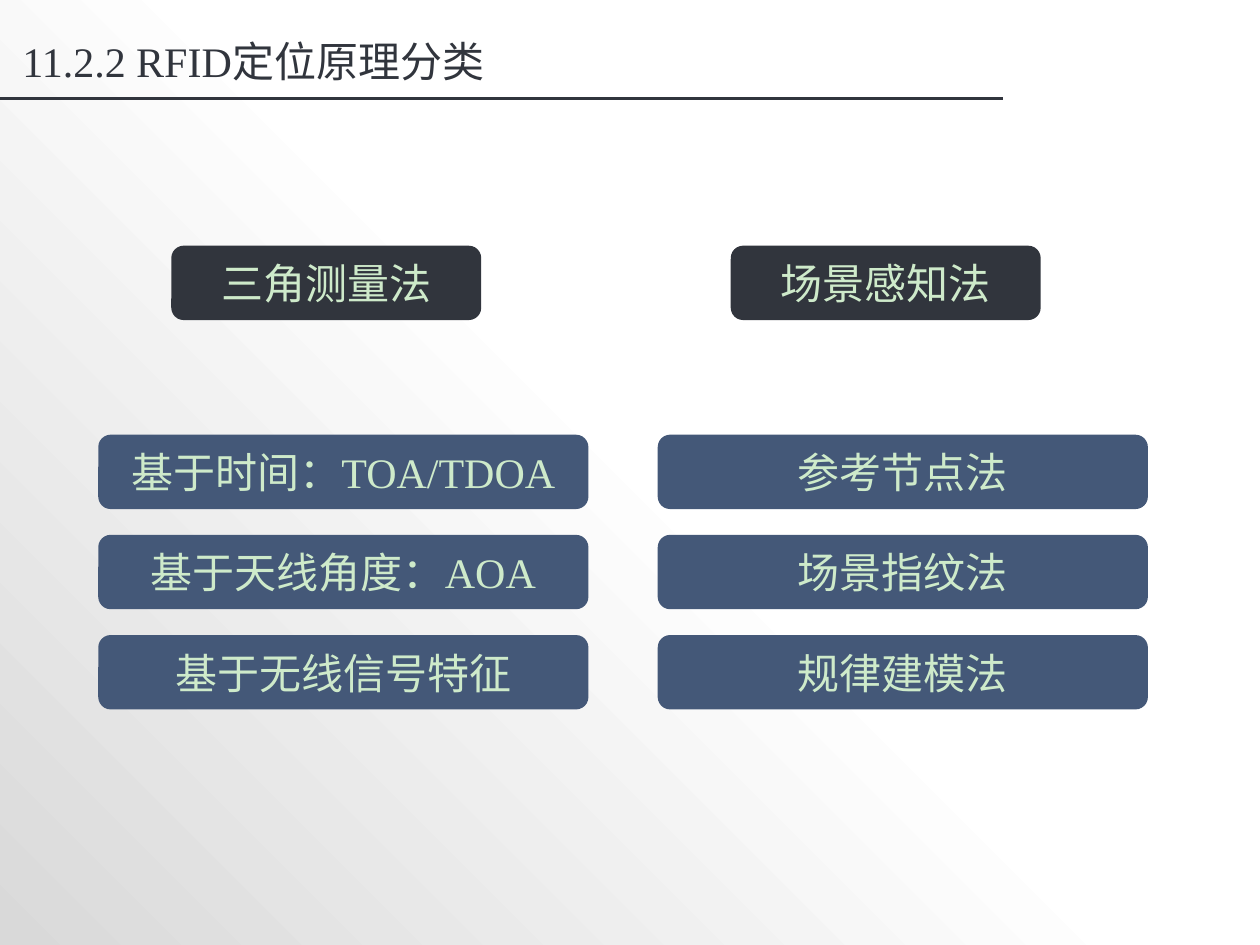
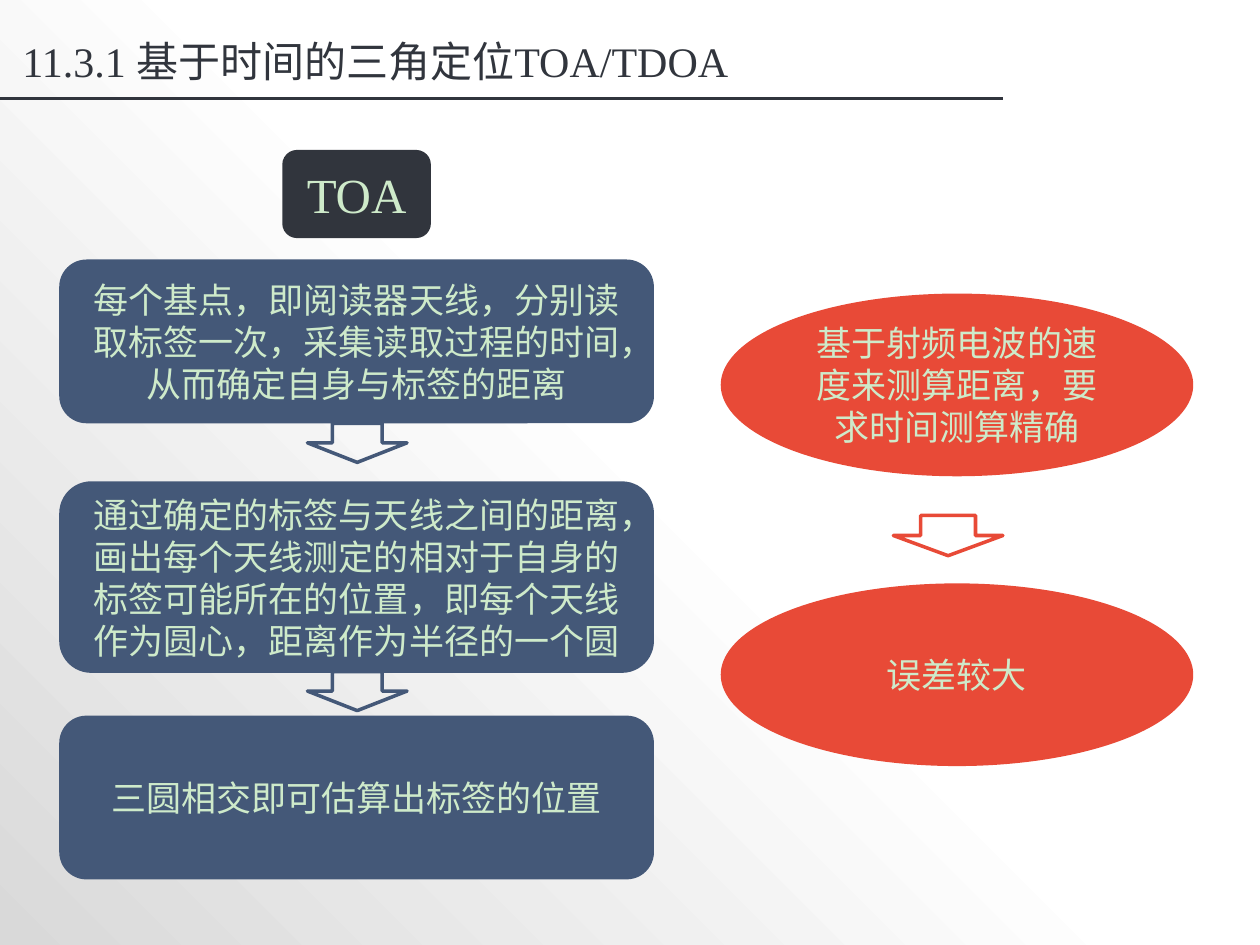
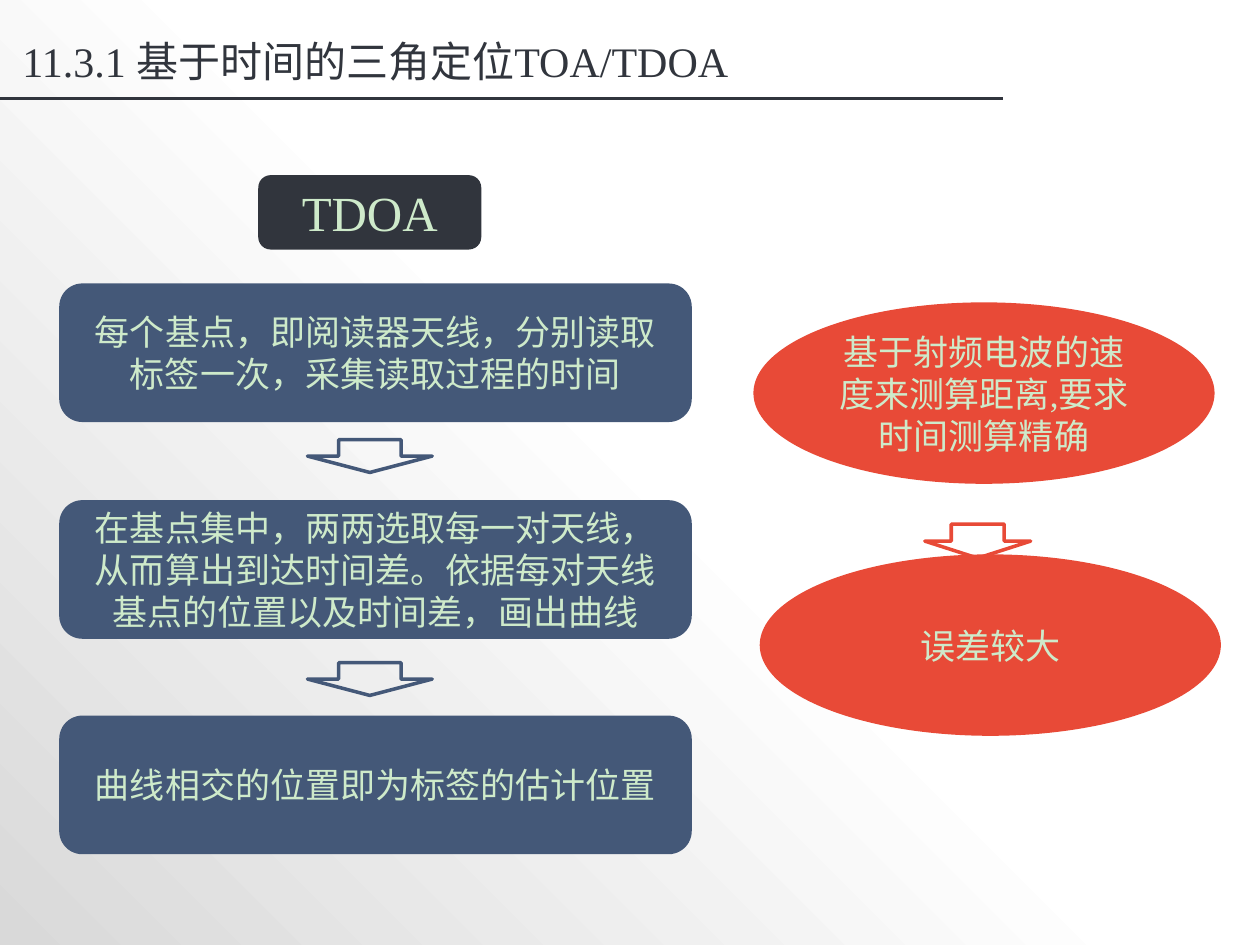
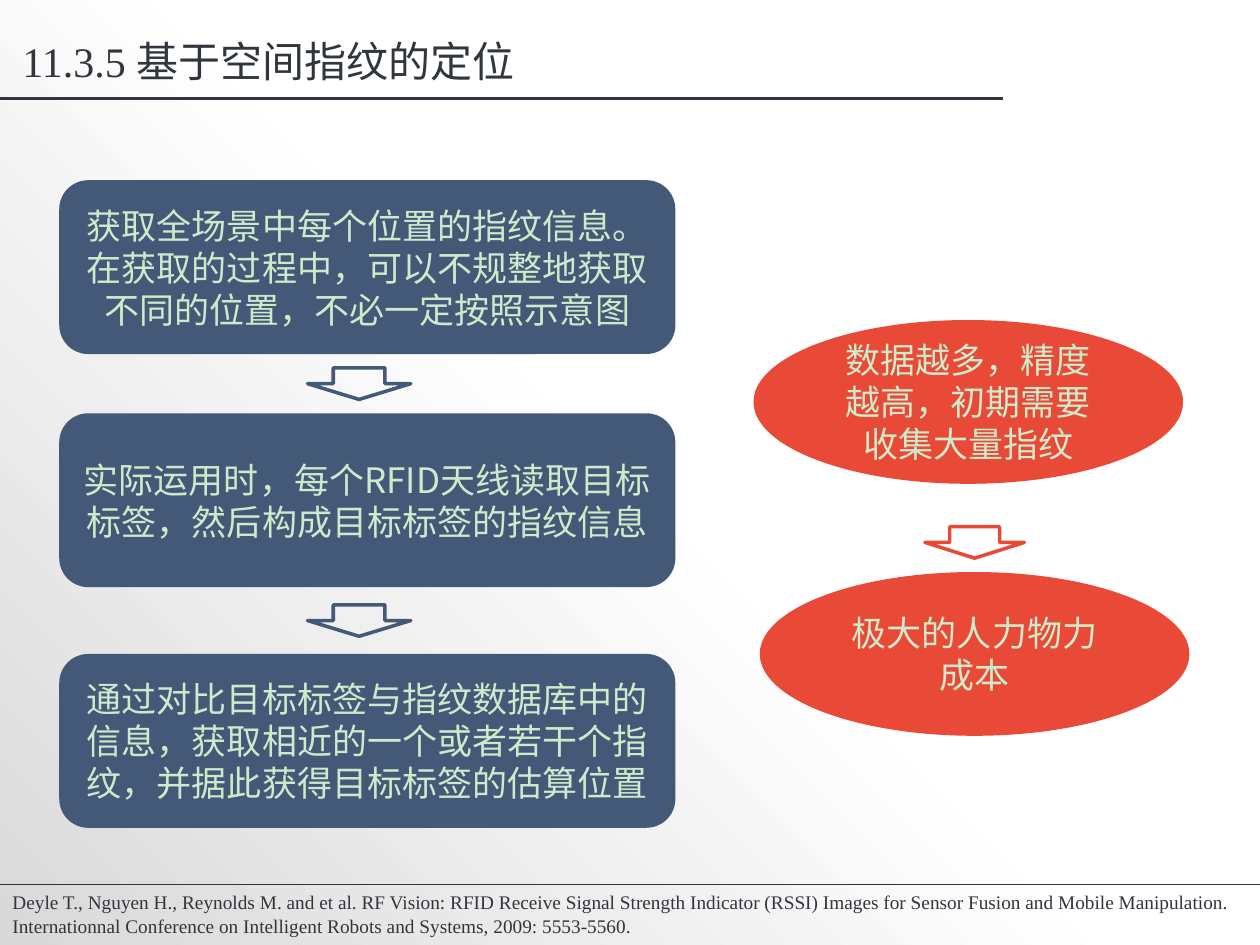
import pptx
import pptx.util
import pptx.dml.color
import pptx.enum.shapes
import pptx.enum.text
import pptx.oxml.ns
from lxml import etree

COLOURS = {
    "dark": "31353D",
    "blue": "445878",
    "red": "E84A37",
    "pale": "CEEACA",
    "corner": "D9D9D9",
    "white": "FFFFFF",
}
LATIN_FONT = "Times New Roman"
CHINESE_FONT = "Noto Sans CJK SC"
SLIDE_WIDTH, SLIDE_HEIGHT = 10, 7.5
FLOW_LEFT = 0.47
FLOW_ARROW_LEFT = 2.44

SHAPES = pptx.enum.shapes.MSO_SHAPE
ALIGN = pptx.enum.text.PP_ALIGN
ANCHOR = pptx.enum.text.MSO_ANCHOR


def colour(name):
    return pptx.dml.color.RGBColor.from_string(COLOURS[name])


def inches(*lengths):
    return [pptx.util.Inches(length) for length in lengths]


# Text and basic elements
def write(shape, text, size, colour_name, font=LATIN_FONT, align=None,
          anchor=ANCHOR.MIDDLE, line_height=None):
    text_frame = shape.text_frame
    text_frame.word_wrap = True
    text_frame.vertical_anchor = anchor
    text_frame.text = text
    paragraph = text_frame.paragraphs[0]
    paragraph.alignment = align
    if line_height:
        paragraph.line_spacing = pptx.util.Pt(line_height)
    run = paragraph.runs[0]
    run.font.size = pptx.util.Pt(size)
    run.font.name = font
    run.font.color.rgb = colour(colour_name)
    east_asian = etree.SubElement(run.font._element, pptx.oxml.ns.qn("a:ea"))
    east_asian.set("typeface", CHINESE_FONT)


def add_box(slide, kind, bounds, fill, text, size=20, font=LATIN_FONT,
            line_height=None):
    shape = slide.shapes.add_shape(kind, *inches(*bounds))
    shape.shadow.inherit = False
    shape.fill.solid()
    shape.fill.fore_color.rgb = colour(fill)
    shape.line.fill.background()
    write(shape, text, size, "pale", font, ALIGN.CENTER,
          line_height=line_height)


def add_arrow(slide, bounds, line):
    arrow = slide.shapes.add_shape(SHAPES.DOWN_ARROW, *inches(*bounds))
    arrow.shadow.inherit = False
    arrow.fill.background()
    arrow.line.color.rgb = colour(line)
    arrow.line.width = pptx.util.Pt(2)


def add_rule(slide, top, width, weight):
    rule = slide.shapes.add_connector(
        pptx.enum.shapes.MSO_CONNECTOR.STRAIGHT, *inches(0, top, width, top))
    rule.line.color.rgb = colour("dark")
    rule.line.width = pptx.util.Pt(weight)
    etree.SubElement(rule._element.spPr, pptx.oxml.ns.qn("a:effectLst"))


# Shared slide parts
def paint_background(master):
    fill = master.background.fill
    fill.gradient()
    fill.gradient_angle = 45
    for stop, (name, position) in zip(fill.gradient_stops,
                                      [("corner", 0), ("white", 0.52)]):
        stop.color.rgb = colour(name)
        stop.position = position


def add_titled_slide(presentation, title):
    slide = presentation.slides.add_slide(presentation.slide_layouts[6])
    title_box = slide.shapes.add_textbox(*inches(0.08, 0.19, 6.3, 0.59))
    write(title_box, title, 24, "dark")
    add_rule(slide, 0.78, 7.96, 1.5)
    return slide


def add_citation(slide, text):
    top = 7.02
    citation = slide.shapes.add_textbox(*inches(0, top, 10.02, 0.47))
    write(citation, text, 11, "dark", anchor=ANCHOR.TOP)
    citation.text_frame.auto_size = (
        pptx.enum.text.MSO_AUTO_SIZE.SHAPE_TO_FIT_TEXT)
    add_rule(slide, top, SLIDE_WIDTH, 0.75)


# Content groups
def add_method_column(slide, left, heading, methods):
    height, pitch = 0.59, 0.795
    add_box(slide, SHAPES.ROUNDED_RECTANGLE, (left + 0.58, 1.95, 2.46, height),
            "dark", heading, 24)
    for row, method in enumerate(methods):
        add_box(slide, SHAPES.ROUNDED_RECTANGLE,
                (left, 3.45 + row * pitch, 3.89, height), "blue", method, 24)


def add_label(slide, bounds, text):
    add_box(slide, SHAPES.ROUNDED_RECTANGLE, bounds, "dark", text, 28)


def add_flow(slide, width, steps, arrow_tops, arrow_size):
    """Each step is (top, height, text) with an optional font."""
    for top, height, text, *font in steps:
        add_box(slide, SHAPES.ROUNDED_RECTANGLE,
                (FLOW_LEFT, top, width, height), "blue", text, 20, *font,
                line_height=24)
    for top in arrow_tops:
        add_arrow(slide, (FLOW_ARROW_LEFT, top, *arrow_size), "blue")


def add_drawback(slide, size, cause, arrow_bounds, effect):
    """Cause and effect are (left, top, text), joined by an arrow."""
    for left, top, text in (cause, effect):
        add_box(slide, SHAPES.OVAL, (left, top, *size), "red", text,
                line_height=24)
        if text == cause[2]:
            add_arrow(slide, arrow_bounds, "red")


# Slides
def build_classification(presentation):
    slide = add_titled_slide(presentation, "11.2.2 RFID定位原理分类")
    add_method_column(slide, 0.78, "三角测量法",
                      ["基于时间：TOA/TDOA", "基于天线角度：AOA", "基于无线信号特征"])
    add_method_column(slide, 5.22, "场景感知法",
                      ["参考节点法", "场景指纹法", "规律建模法"])


def build_toa(presentation, title):
    slide = add_titled_slide(presentation, title)
    add_drawback(slide, (3.75, 1.45),
                 (5.72, 2.33, "基于射频电波的速度来测算距离，要求时间测算精确"),
                 (7.09, 4.09, 0.87, 0.32), (5.72, 4.63, "误差较大"))
    add_label(slide, (2.24, 1.19, 1.18, 0.7), "TOA")
    add_flow(slide, 4.72, [
        (2.06, 1.3, "每个基点，即阅读器天线，分别读取标签一次，"
                    "采集读取过程的时间，从而确定自身与标签的距离"),
        (3.82, 1.52, "通过确定的标签与天线之间的距离，画出每个天线测定的"
                     "相对于自身的标签可能所在的位置，即每个天线作为圆心，"
                     "距离作为半径的一个圆"),
        (5.68, 1.3, "三圆相交即可估算出标签的位置"),
    ], (3.36, 5.33), (0.79, 0.31))


def build_tdoa(presentation, title):
    slide = add_titled_slide(presentation, title)
    add_drawback(slide, (3.66, 1.44),
                 (5.98, 2.4, "基于射频电波的速度来测算距离,要求时间测算精确"),
                 (7.34, 4.16, 0.84, 0.27), (6.03, 4.4, "误差较大"))
    add_label(slide, (2.05, 1.39, 1.77, 0.59), "TDOA")
    add_flow(slide, 5.02, [
        (2.25, 1.1, "每个基点，即阅读器天线，分别读取标签一次，"
                    "采集读取过程的时间"),
        (3.97, 1.1, "在基点集中，两两选取每一对天线，从而算出到达时间差。"
                    "依据每对天线基点的位置以及时间差，画出曲线"),
        (5.68, 1.1, "曲线相交的位置即为标签的估计位置"),
    ], (3.49, 5.26), (0.99, 0.26))


def build_fingerprint(presentation):
    slide = add_titled_slide(presentation, "11.3.5 基于空间指纹的定位")
    add_drawback(slide, (3.41, 1.3),
                 (5.98, 2.54, "数据越多，精度越高，初期需要收集大量指纹"),
                 (7.34, 4.18, 0.79, 0.25), (6.03, 4.54, "极大的人力物力成本"))
    add_flow(slide, 4.89, [
        (1.43, 1.38, "获取全场景中每个位置的指纹信息。在获取的过程中，"
                     "可以不规整地获取不同的位置，不必一定按照示意图"),
        (3.28, 1.38, "实际运用时，每个RFID天线读取目标标签，"
                     "然后构成目标标签的指纹信息", CHINESE_FONT),
        (5.19, 1.38, "通过对比目标标签与指纹数据库中的信息，获取相近的一个"
                     "或者若干个指纹，并据此获得目标标签的估算位置"),
    ], (2.92, 4.8), (0.82, 0.25))
    add_citation(slide, "Deyle T., Nguyen H., Reynolds M. and et al. RF Vision: "
                 "RFID Receive Signal Strength Indicator (RSSI) Images for "
                 "Sensor Fusion and Mobile Manipulation. Internationnal "
                 "Conference on Intelligent Robots and Systems, 2009: "
                 "5553-5560.")


def main():
    presentation = pptx.Presentation()
    presentation.slide_width, presentation.slide_height = inches(
        SLIDE_WIDTH, SLIDE_HEIGHT)
    paint_background(presentation.slide_master)
    time_title = "11.3.1 基于时间的三角定位TOA/TDOA"
    build_classification(presentation)
    build_toa(presentation, time_title)
    build_tdoa(presentation, time_title)
    build_fingerprint(presentation)
    presentation.save("out.pptx")


if __name__ == "__main__":
    main()
